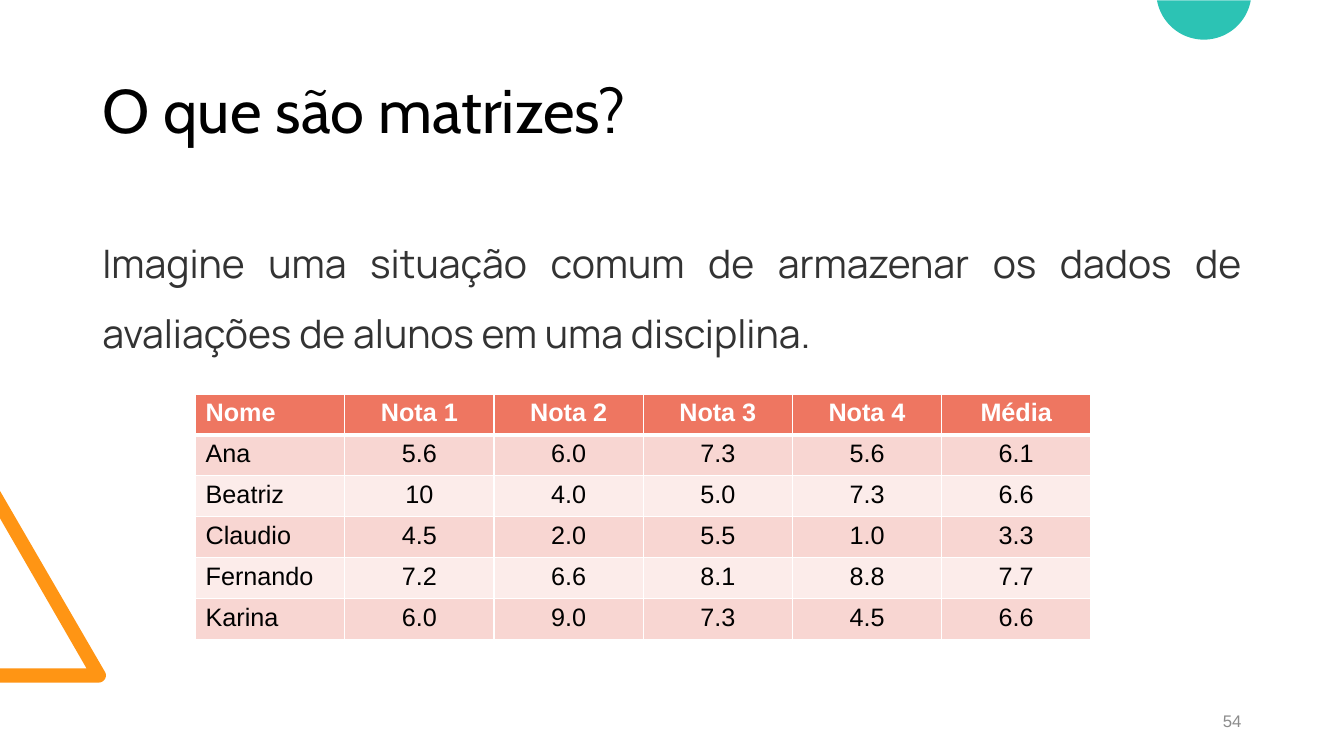
from math import cos, radians, sin

from lxml import etree
from pptx import Presentation
from pptx.dml.color import RGBColor
from pptx.enum.text import MSO_ANCHOR, MSO_AUTO_SIZE, PP_ALIGN
from pptx.oxml.ns import qn
from pptx.util import Cm, Pt

LEFT, CENTER, RIGHT, JUSTIFY = PP_ALIGN.LEFT, PP_ALIGN.CENTER, PP_ALIGN.RIGHT, PP_ALIGN.JUSTIFY
TOP, MIDDLE = MSO_ANCHOR.TOP, MSO_ANCHOR.MIDDLE
NO_AUTOFIT = MSO_AUTO_SIZE.NONE

GRADES = [
    ["Nome", "Nota 1", "Nota 2", "Nota 3", "Nota 4", "Média"],
    ["Ana", "5.6", "6.0", "7.3", "5.6", "6.1"],
    ["Beatriz", "10", "4.0", "5.0", "7.3", "6.6"],
    ["Claudio", "4.5", "2.0", "5.5", "1.0", "3.3"],
    ["Fernando", "7.2", "6.6", "8.1", "8.8", "7.7"],
    ["Karina", "6.0", "9.0", "7.3", "4.5", "6.6"],
]


def write_text(text_frame, text, font="Arial", size=18, color="000000", bold=False,
               align=LEFT, spacing=1.0, before=0):
    text_frame.word_wrap = True
    paragraph = text_frame.paragraphs[0]
    paragraph.alignment = align
    paragraph.line_spacing = spacing
    paragraph.space_before = Pt(before)
    run = paragraph.add_run()
    run.text = text
    run.font.name = font
    run.font.size = Pt(size)
    run.font.bold = bold
    run.font.color.rgb = RGBColor.from_string(color)


def add_outline(corners, center, radius, start, stop, color):
    arc = [(center[0] + radius * cos(radians(angle)), center[1] + radius * sin(radians(angle)))
           for angle in range(start, stop + 1, 4)]
    points = [(Cm(x), Cm(y)) for x, y in corners + arc]
    builder = slide.shapes.build_freeform(*points[0])
    builder.add_line_segments(points[1:], close=True)
    shape = builder.convert_to_shape()
    shape.shadow.inherit = False
    shape.fill.solid()
    shape.fill.fore_color.rgb = RGBColor.from_string(color)
    shape.line.fill.background()


presentation = Presentation()
presentation.slide_width = Cm(33.87)
presentation.slide_height = Cm(19.05)
slide = presentation.slides.add_slide(presentation.slide_layouts[5])

triangle = [(0, 17.2), (0, 16.84), (2.18, 16.84), (0, 13.06), (0, 12.37)]
add_outline(triangle, (2.49, 17.02), 0.18, -30, 90, "FF9514")
add_outline([], (30.34, -0.2), 1.2, 10, 170, "2CC3B4")

title = slide.shapes.title
title.left, title.top, title.width, title.height = Cm(2.33), Cm(1.01), Cm(29.21), Cm(3.68)
title.text_frame.auto_size = NO_AUTOFIT
title.text_frame.vertical_anchor = MIDDLE
write_text(title.text_frame, "O que são matrizes?", font="Cabin", size=44, spacing=0.9)

body = slide.shapes.add_textbox(Cm(2.33), Cm(5.31), Cm(29.21), Cm(7.39))
body.text_frame.vertical_anchor = TOP
write_text(body.text_frame,
           "Imagine uma situação comum de armazenar os dados de avaliações de alunos em uma disciplina.",
           font="Manrope", size=28, color="333333", align=JUSTIFY, spacing=1.5, before=10)

slide_number = slide.shapes.add_textbox(Cm(23.92), Cm(17.66), Cm(7.62), Cm(1.01))
slide_number.text_frame.vertical_anchor = MIDDLE
write_text(slide_number.text_frame, "54", size=12, color="8C8C8C", align=RIGHT)

row_count, column_count = len(GRADES), len(GRADES[0])
table = slide.shapes.add_table(row_count, column_count, Cm(4.93), Cm(9.93),
                               Cm(3.76 * column_count), Cm(1.03 * row_count)).table
for column in table.columns:
    column.width = Cm(3.76)

for row_index, values in enumerate(GRADES):
    is_header = row_index == 0
    fill = "EE7661" if is_header else ("FCECEA", "F8D6D2")[row_index % 2]
    border_widths = {"a:lnL": 1, "a:lnR": 1,
                     "a:lnT": 3 if row_index == 1 else 1,
                     "a:lnB": 3 if is_header else 1}
    for column_index, value in enumerate(values):
        cell = table.cell(row_index, column_index)
        properties = cell._tc.get_or_add_tcPr()
        for tag, width in border_widths.items():
            border = etree.SubElement(properties, qn(tag), w=str(Pt(width)))
            border_fill = etree.SubElement(border, qn("a:solidFill"))
            etree.SubElement(border_fill, qn("a:srgbClr"), val="FFFFFF")
        cell.fill.solid()
        cell.fill.fore_color.rgb = RGBColor.from_string(fill)
        write_text(cell.text_frame, value, bold=is_header,
                   color="FFFFFF" if is_header else "000000",
                   align=CENTER if column_index else LEFT)

presentation.save("out.pptx")
